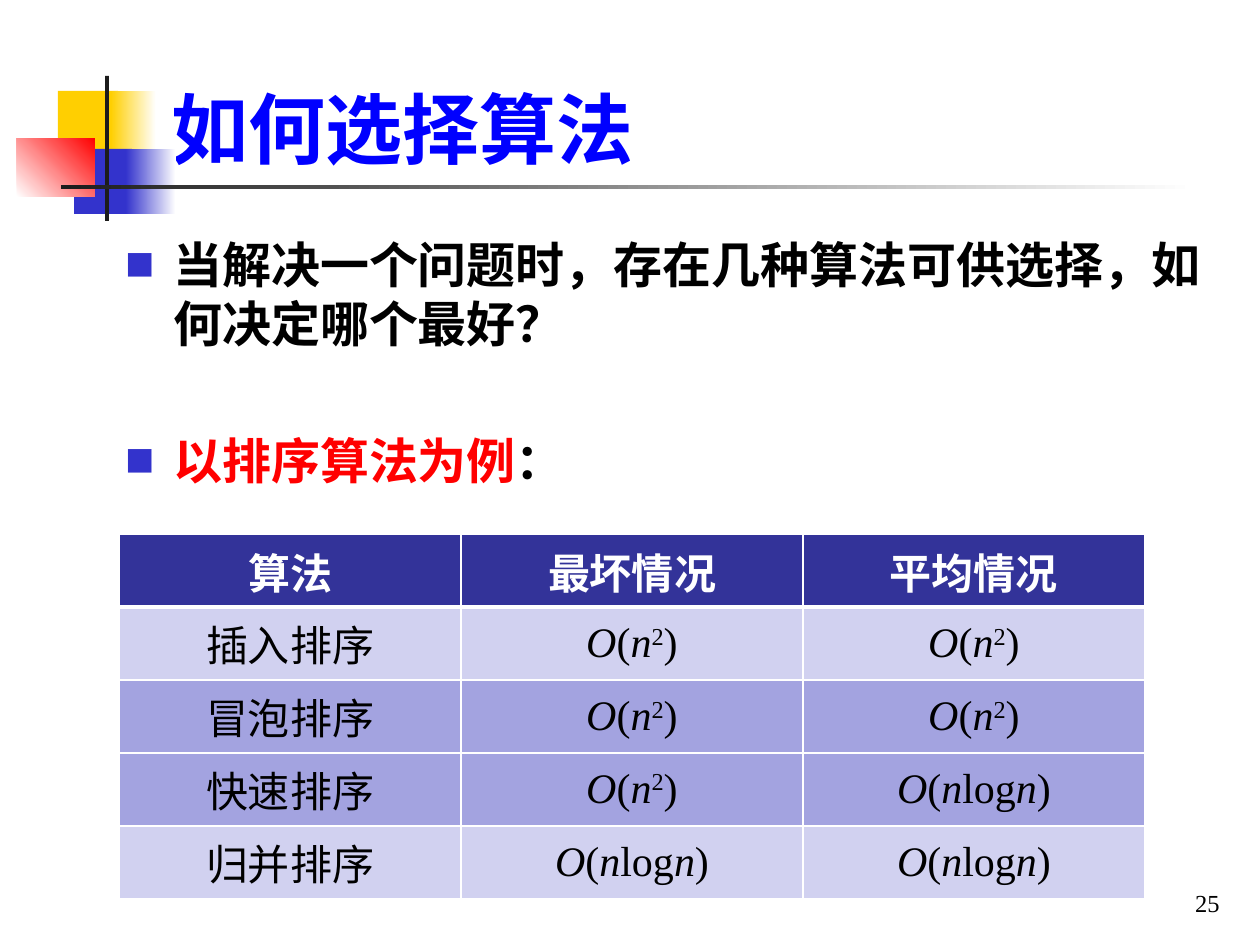
from lxml.etree import SubElement
from pptx import Presentation
from pptx.dml.color import RGBColor
from pptx.enum.shapes import MSO_SHAPE as Shape
from pptx.enum.text import MSO_ANCHOR as Anchor, PP_ALIGN as Align
from pptx.oxml.ns import qn
from pptx.util import Emu, Pt

CJK, LATIN = "Noto Sans CJK SC", "Times New Roman"
BLACK, WHITE = RGBColor(0, 0, 0), RGBColor(255, 255, 255)
RED, BLUE = RGBColor(255, 0, 0), RGBColor(0, 0, 255)
YELLOW, INDIGO = RGBColor(0xFF, 0xCF, 0x01), RGBColor(0x33, 0x33, 0xCC)
INK, NAVY = RGBColor(0x1C, 0x1C, 0x1C), RGBColor(0x33, 0x33, 0x99)
PALE, MID = RGBColor(0xD1, 0xD1, 0xF0), RGBColor(0xA3, 0xA3, 0xE0)

TITLE = "如何选择算法"
BULLETS = [
    [("当解决一个问题时，存在几种算法可供选择，如何决定哪个最好？", BLACK)],
    [("以排序算法为例", RED), ("：", BLACK)],
]
PAGE = "25"
SQUARE = [("O", "i"), ("(", ""), ("n", "i"), ("2", "sup"), (")", "")]
NLOGN = [("O", "i"), ("(", ""), ("n", "i"), ("log", ""), ("n", "i"), (")", "")]
HEADER = ["算法", "最坏情况", "平均情况"]
ROWS = [
    ("插入排序", SQUARE, SQUARE, PALE),
    ("冒泡排序", SQUARE, SQUARE, MID),
    ("快速排序", SQUARE, NLOGN, MID),
    ("归并排序", NLOGN, NLOGN, PALE),
]
DECORATION = [
    ((58, 91, 60, 65), [YELLOW], 0),
    ((111, 91, 45, 65), [YELLOW, WHITE], 0),
    ((74, 149, 58, 65), [INDIGO], 0),
    ((126, 149, 50, 65), [INDIGO, WHITE], 0),
    ((17, 138, 78, 59), [WHITE, RED], 45),
    ((105, 76, 4, 145), [INK], 0),
    ((61, 185, 1134, 4), [INK, WHITE], 0),
]


def px(n):
    return Emu(round(n * 914400 / 126))


def place(s, box):
    s.left, s.top, s.width, s.height = map(px, box)


def add_run(p, text, size, color, bold=False, latin=LATIN, style=""):
    r = p.add_run()
    r.text = text
    f = r.font
    f.size, f.bold, f.italic, f.name = Pt(size), bold, style == "i", latin
    f.color.rgb = color
    rPr = r._r.get_or_add_rPr()
    SubElement(rPr, qn("a:ea")).set("typeface", CJK)
    if style == "sup":
        rPr.set("baseline", "30000")


def add_bullet(p):
    pPr = p._p.get_or_add_pPr()
    pPr.set("marL", str(px(48)))
    pPr.set("indent", str(-px(48)))
    color = SubElement(pPr, qn("a:buClr"))
    SubElement(color, qn("a:srgbClr")).set("val", str(INDIGO))
    SubElement(pPr, qn("a:buSzPct")).set("val", "60000")
    SubElement(pPr, qn("a:buFont")).set("typeface", CJK)
    SubElement(pPr, qn("a:buChar")).set("char", "■")


def add_border(cell, side, width):
    line = SubElement(cell._tc.get_or_add_tcPr(), qn("a:ln" + side))
    line.set("w", str(Pt(width)))
    fill = SubElement(line, qn("a:solidFill"))
    SubElement(fill, qn("a:srgbClr")).set("val", str(WHITE))


def fill_cell(cell, runs, fill, color, bold, top, bottom):
    for side, width in (("L", 1), ("R", 1), ("T", top), ("B", bottom)):
        add_border(cell, side, width)
    cell.fill.solid()
    cell.fill.fore_color.rgb = fill
    cell.vertical_anchor = Anchor.MIDDLE
    p = cell.text_frame.paragraphs[0]
    p.alignment = Align.CENTER
    for text, style in runs:
        add_run(p, text, 24, color, bold, style=style)


def add_decoration(slide):
    for box, colors, angle in DECORATION:
        s = slide.shapes.add_shape(Shape.RECTANGLE, *map(px, box))
        s.shadow.inherit = False
        s.line.fill.background()
        if len(colors) == 1:
            s.fill.solid()
            s.fill.fore_color.rgb = colors[0]
        else:
            s.fill.gradient()
            s.fill.gradient_angle = angle
            for stop, color, position in zip(s.fill.gradient_stops, colors, (0, 1)):
                stop.color.rgb, stop.position = color, position


def add_title(slide):
    title = slide.shapes.title
    place(title, (159, 29, 1074, 145))
    tf = title.text_frame
    tf.vertical_anchor, tf.margin_bottom = Anchor.BOTTOM, 0
    p = tf.paragraphs[0]
    p.alignment = Align.LEFT
    add_run(p, TITLE, 44, BLUE, True, CJK)


def add_body(slide):
    tf = slide.shapes.add_textbox(*map(px, (113, 224, 1111, 684))).text_frame
    tf.word_wrap, tf.margin_top = True, px(11)
    for i, runs in enumerate(BULLETS):
        p = tf.add_paragraph() if i else tf.paragraphs[0]
        add_bullet(p)
        p.line_spacing = Pt(33.5)
        p.space_before = Pt(45 if i else 0)
        for text, color in runs:
            add_run(p, text, 28, color, True, CJK)


def add_page_number(slide):
    tf = slide.shapes.add_textbox(*map(px, (970, 861, 262, 63))).text_frame
    tf.word_wrap, tf.vertical_anchor = True, Anchor.BOTTOM
    p = tf.paragraphs[0]
    p.alignment = Align.RIGHT
    add_run(p, PAGE, 14, BLACK)


def add_complexity_table(slide):
    box = map(px, (119, 534, 1026, 365))
    table = slide.shapes.add_table(len(ROWS) + 1, len(HEADER), *box).table
    for column in table.columns:
        column.width = px(342)
    for row in table.rows:
        row.height = px(73)
    for c, text in enumerate(HEADER):
        fill_cell(table.cell(0, c), [(text, "")], NAVY, WHITE, True, 1, 3)
    for r, (name, worst, average, fill) in enumerate(ROWS, 1):
        for c, runs in enumerate(([(name, "")], worst, average)):
            fill_cell(table.cell(r, c), runs, fill, BLACK, False, 3 if r == 1 else 1, 1)


def main():
    prs = Presentation()
    prs.slide_width, prs.slide_height = px(1260), px(945)
    slide = prs.slides.add_slide(prs.slide_layouts[5])
    add_decoration(slide)
    add_page_number(slide)
    add_title(slide)
    add_body(slide)
    add_complexity_table(slide)
    prs.save("out.pptx")


if __name__ == "__main__":
    main()
